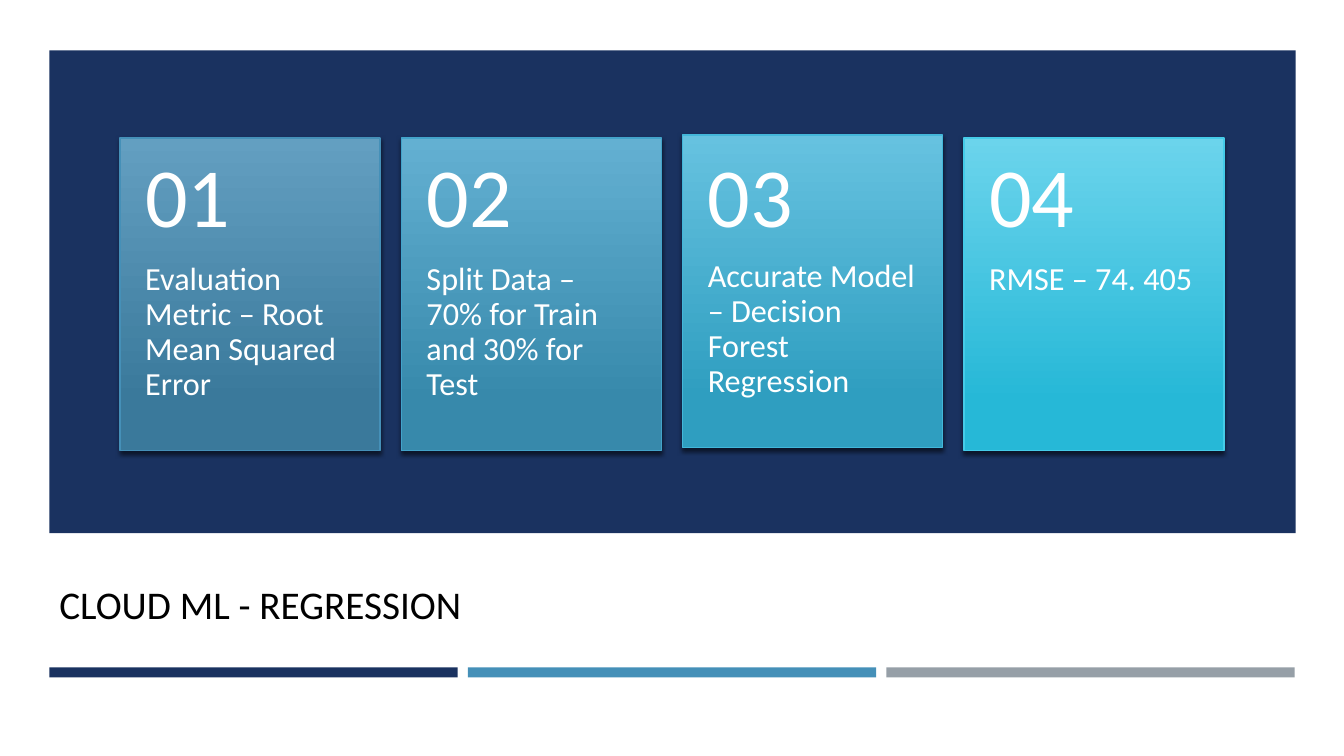
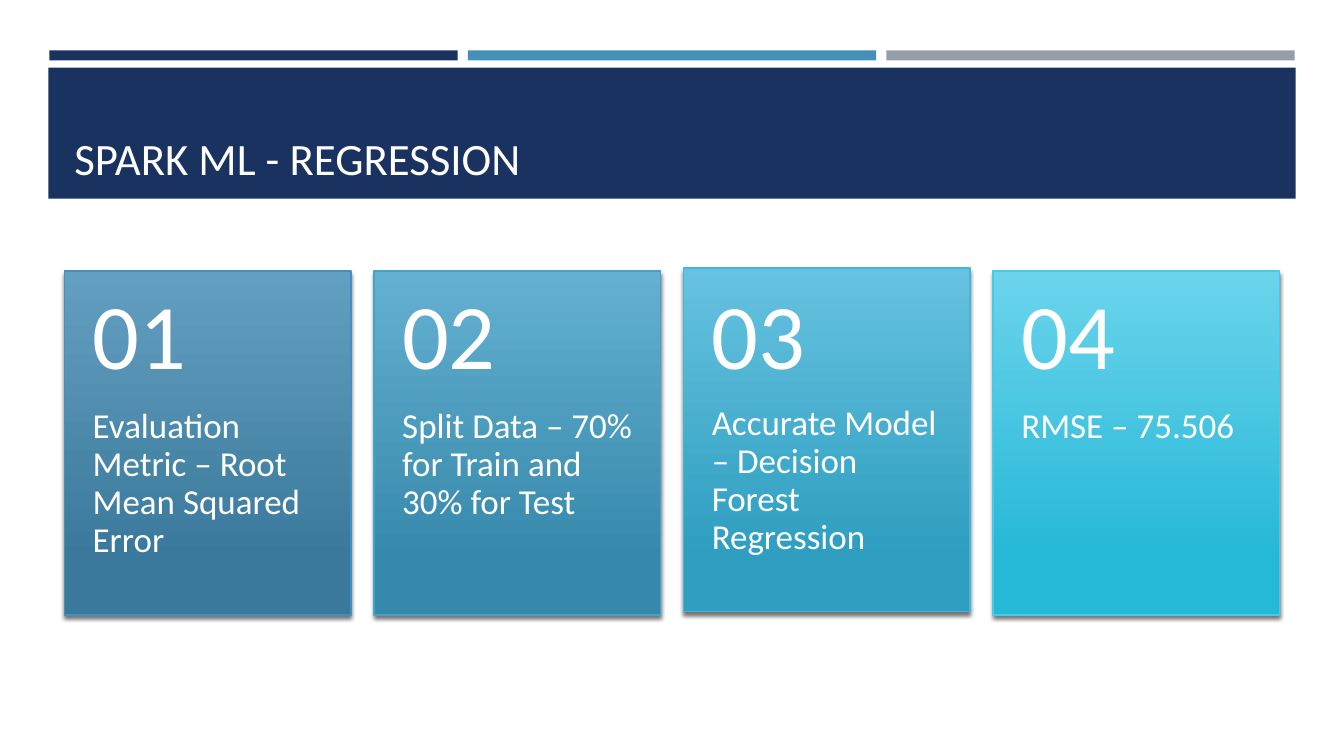
from dataclasses import dataclass

from lxml import etree
from pptx import Presentation
from pptx.dml.color import RGBColor
from pptx.enum.shapes import MSO_SHAPE
from pptx.enum.text import MSO_ANCHOR
from pptx.oxml.ns import qn
from pptx.shapes.autoshape import Shape
from pptx.slide import Slide
from pptx.util import Inches, Pt

RECTANGLE = MSO_SHAPE.RECTANGLE
TOP = MSO_ANCHOR.TOP
MIDDLE = MSO_ANCHOR.MIDDLE
BOTTOM = MSO_ANCHOR.BOTTOM

FONT = "Calibri"
NAVY = "1A3260"
WHITE = "FFFFFF"
BLACK = "000000"
STRIPE_COLORS = (NAVY, "4590B8", "969FA7")
STRIPE_LEFT, STRIPE_PITCH = 0.49, 4.15
STRIPE_WIDTH, STRIPE_HEIGHT = 4.05, 0.1
HEADING_SHARE = 0.4
VERTICAL_INSET, BODY_BOTTOM_INSET = 0.18, 0.36


@dataclass(frozen=True)
class Area:
    left: float
    top: float
    width: float
    height: float


@dataclass(frozen=True)
class TextStyle:
    size: float
    color: str
    anchor: MSO_ANCHOR
    insets: tuple[float, float, float, float] = (0.1, 0.05, 0.1, 0.05)
    line_spacing: float = 1.0


@dataclass(frozen=True)
class CardStyle:
    start: str
    end: str
    line: str
    lift: float = 0.0


@dataclass(frozen=True)
class CardRow:
    first: Area
    pitch: float
    side_inset: float
    number_size: float
    body_size: float


@dataclass(frozen=True)
class PageContent:
    title: str
    title_area: Area
    title_style: TextStyle
    band: Area
    stripe_top: float
    row: CardRow
    steps: tuple[str, ...]


CARD_STYLES = (
    CardStyle("639FC1", "3A799B", "4590B8"),
    CardStyle("63B0D2", "3789AB", "43A3CA"),
    CardStyle("66C2E0", "2F9EC0", "43B7DA", lift=0.03),
    CardStyle("6BD4EC", "26B8D7", "45CBE8"),
)

COMMON_STEPS = (
    "Evaluation Metric – Root Mean Squared Error",
    "Split Data – 70% for Train and 30% for Test",
    "Accurate Model – Decision Forest Regression",
)

PAGES = (
    PageContent(
        title="CLOUD ML - REGRESSION",
        title_area=Area(0.49, 5.47, 12.35, 1.04),
        title_style=TextStyle(28, BLACK, MIDDLE),
        band=Area(0.49, 0.5, 12.36, 4.79),
        stripe_top=6.62,
        row=CardRow(Area(1.19, 1.37, 2.58, 3.1), 2.79, 0.25, 60, 23),
        steps=(*COMMON_STEPS, "RMSE – 74. 405"),
    ),
    PageContent(
        title="SPARK ML - REGRESSION",
        title_area=Area(0.64, 0.77, 12.06, 1.11),
        title_style=TextStyle(32, WHITE, BOTTOM),
        band=Area(0.48, 0.67, 12.37, 1.3),
        stripe_top=0.5,
        row=CardRow(Area(0.64, 2.69, 2.84, 3.41), 3.07, 0.28, 66, 25),
        steps=(*COMMON_STEPS, "RMSE – 75.506"),
    ),
)


def color(value: str) -> RGBColor:
    return RGBColor.from_string(value)


def lengths(area: Area) -> tuple[Inches, ...]:
    return tuple(Inches(v) for v in (area.left, area.top, area.width, area.height))


def add_rectangle(page: Slide, area: Area) -> Shape:
    shape = page.shapes.add_shape(RECTANGLE, *lengths(area))
    shape.shadow.inherit = False
    return shape


def add_block(page: Slide, area: Area, fill: str) -> None:
    block = add_rectangle(page, area)
    block.fill.solid()
    block.fill.fore_color.rgb = color(fill)
    block.line.fill.background()


def add_text(page: Slide, area: Area, text: str, style: TextStyle) -> None:
    box = page.shapes.add_textbox(*lengths(area))
    frame = box.text_frame
    frame.word_wrap = True
    frame.vertical_anchor = style.anchor
    left, top, right, bottom = style.insets
    frame.margin_left, frame.margin_top = Inches(left), Inches(top)
    frame.margin_right, frame.margin_bottom = Inches(right), Inches(bottom)
    para = frame.paragraphs[0]
    para.text = text
    para.line_spacing = style.line_spacing
    para.font.name = FONT
    para.font.size = Pt(style.size)
    para.font.color.rgb = color(style.color)


def add_drop_shadow(shape: Shape) -> None:
    effects = shape._element.spPr.find(qn("a:effectLst"))
    shadow = etree.SubElement(
        effects,
        qn("a:outerShdw"),
        blurRad=str(Pt(3)),
        dist=str(Pt(2)),
        dir="5400000",
        rotWithShape="0",
    )
    tint = etree.SubElement(shadow, qn("a:srgbClr"), val=BLACK)
    etree.SubElement(tint, qn("a:alpha"), val="55000")


def add_card_panel(page: Slide, area: Area, style: CardStyle) -> None:
    panel = add_rectangle(page, area)
    panel.fill.gradient()
    panel.fill.gradient_angle = 270
    stops = zip(panel.fill.gradient_stops, (style.start, style.end), (0, 0.84))
    for stop, value, position in stops:
        stop.color.rgb = color(value)
        stop.position = position
    panel.line.color.rgb = color(style.line)
    panel.line.width = Pt(1)
    add_drop_shadow(panel)


def add_cards(page: Slide, row: CardRow, steps: tuple[str, ...]) -> None:
    first, side = row.first, row.side_inset
    heading_height = first.height * HEADING_SHARE
    number_style = TextStyle(
        row.number_size, WHITE, MIDDLE,
        (side, VERTICAL_INSET, side, VERTICAL_INSET), 0.9,
    )
    body_style = TextStyle(
        row.body_size, WHITE, TOP, (side, 0, side, BODY_BOTTOM_INSET), 0.9
    )
    for index, (step, style) in enumerate(zip(steps, CARD_STYLES)):
        left = first.left + index * row.pitch
        top = first.top - style.lift
        panel = Area(left, top, first.width, first.height)
        body = Area(
            left, top + heading_height, first.width, first.height - heading_height
        )
        heading = Area(left, first.top, first.width, heading_height)
        add_card_panel(page, panel, style)
        add_text(page, body, step, body_style)
        add_text(page, heading, f"{index + 1:02d}", number_style)


def add_stripes(page: Slide, top: float) -> None:
    for index, fill in enumerate(STRIPE_COLORS):
        left = STRIPE_LEFT + index * STRIPE_PITCH
        add_block(page, Area(left, top, STRIPE_WIDTH, STRIPE_HEIGHT), fill)


def add_page(deck: Presentation, content: PageContent) -> None:
    page = deck.slides.add_slide(deck.slide_layouts[6])
    add_block(page, content.band, NAVY)
    add_stripes(page, content.stripe_top)
    add_text(page, content.title_area, content.title, content.title_style)
    add_cards(page, content.row, content.steps)


def main() -> None:
    deck = Presentation()
    deck.slide_width = Inches(13.33)
    deck.slide_height = Inches(7.5)
    for content in PAGES:
        add_page(deck, content)
    deck.save("out.pptx")


main()
